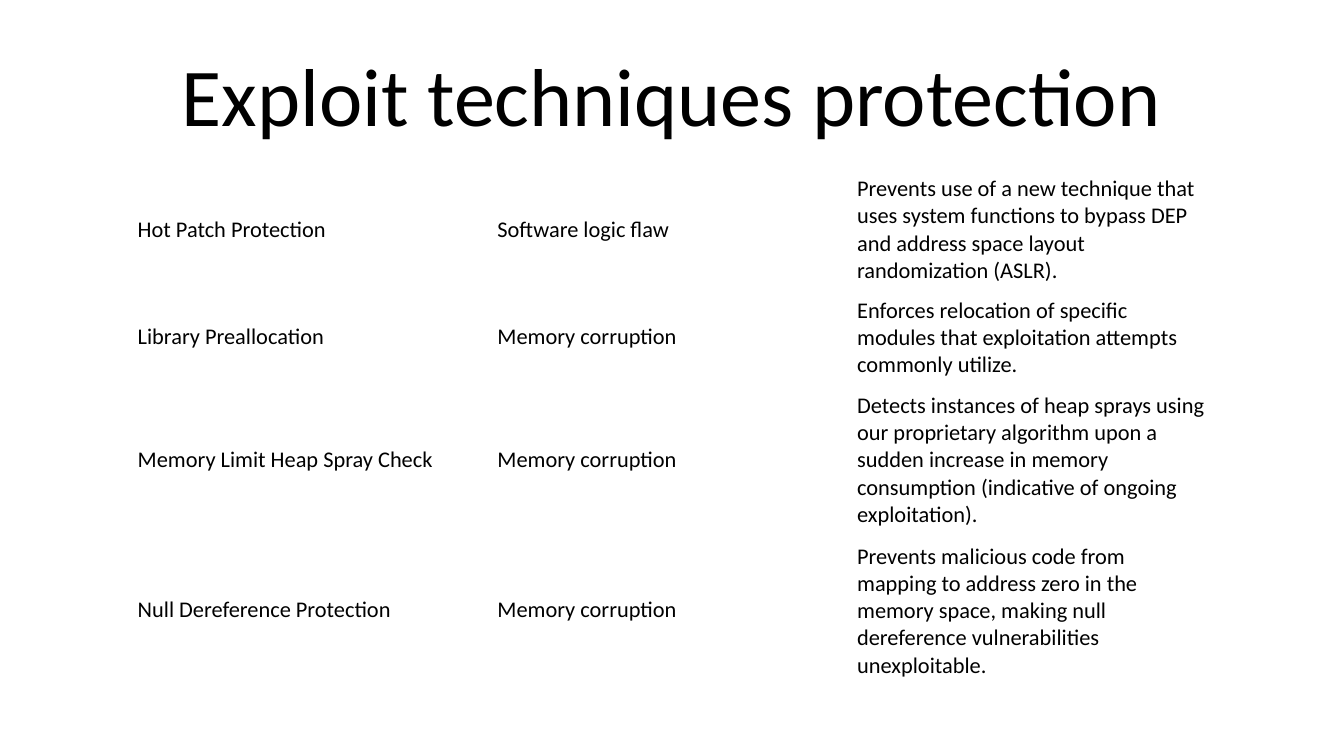
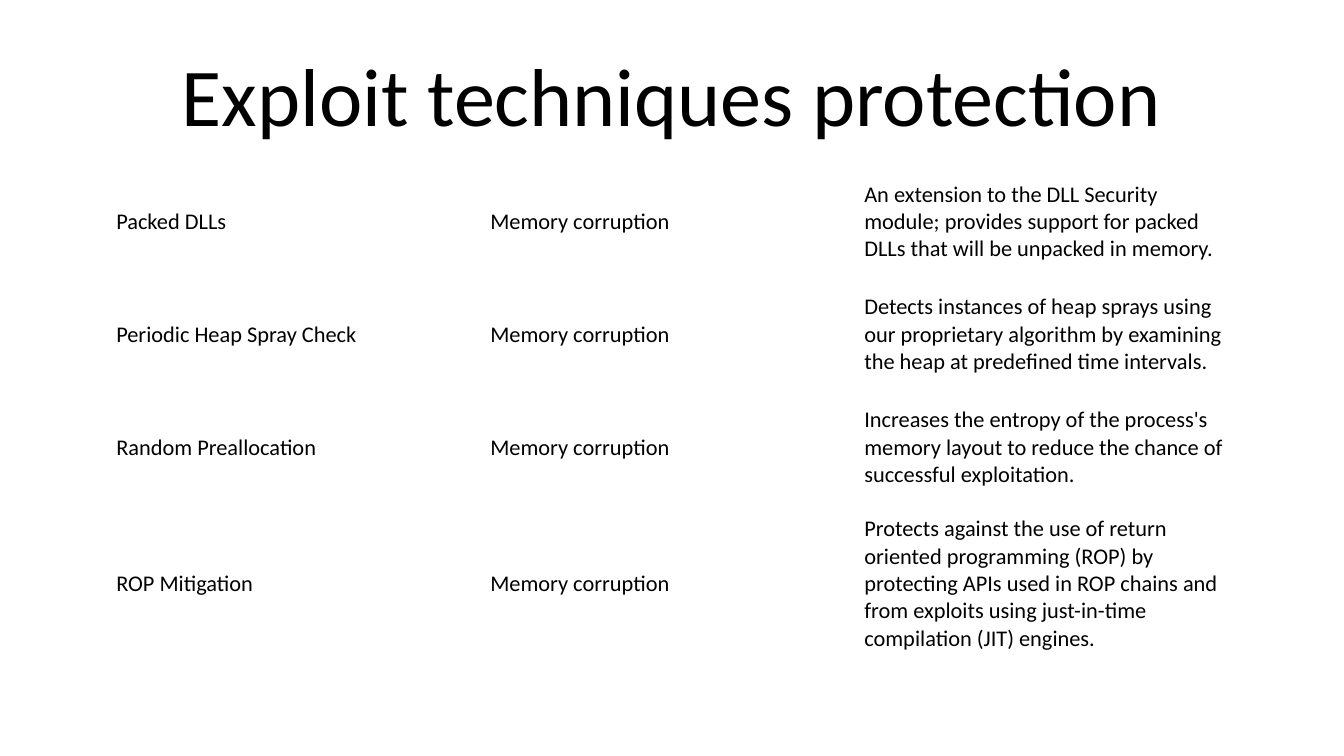
from pptx import Presentation
from pptx.dml.color import RGBColor as Rgb
from pptx.enum.text import MSO_ANCHOR as Anchor, PP_ALIGN as Align
from pptx.util import Inches, Pt

COLORS = {"paper": "FFFFFF", "ink": "000000"}
FONT = "Calibri"
WIDE = 10
HIGH = WIDE * 9 / 16
TITLE = "Exploit techniques protection"
TITLE_BOX = (0.5, 0.23, 9, 0.94)
GRID_TOP = 1.23

# Format values
HEAD = {"size": Pt(44), "name": FONT}
BODY = {"size": Pt(12), "name": FONT}
CELL = {
    "vertical_anchor": Anchor.MIDDLE,
    "margin_left": Inches(0.04), "margin_right": Inches(0.04),
    "margin_top": Inches(0.02), "margin_bottom": Inches(0.02),
}
PLAIN = {"first_row": False, "horz_banding": False}

# Each page: width of the table, row heights, rows of text
PAGES = [
    (8.03, (0.96, 0.61, 1.19, 0.96), [
        ("Hot Patch Protection", "Software logic flaw",
         "Prevents use of a new technique that uses system functions to "
         "bypass DEP and address space layout randomization (ASLR)."),
        ("Library Preallocation", "Memory corruption",
         "Enforces relocation of specific modules that exploitation "
         "attempts commonly utilize."),
        ("Memory Limit Heap Spray Check", "Memory corruption",
         "Detects instances of heap sprays using our proprietary algorithm "
         "upon a sudden increase in memory consumption (indicative of "
         "ongoing exploitation)."),
        ("Null Dereference Protection", "Memory corruption",
         "Prevents malicious code from mapping to address zero in the "
         "memory space, making null dereference vulnerabilities "
         "unexploitable."),
    ]),
    (8.35, (0.84, 0.84, 0.84, 1.19), [
        ("Packed DLLs", "Memory corruption",
         "An extension to the DLL Security module; provides support for "
         "packed DLLs that will be unpacked in memory."),
        ("Periodic Heap Spray Check", "Memory corruption",
         "Detects instances of heap sprays using our proprietary algorithm "
         "by examining the heap at predefined time intervals."),
        ("Random Preallocation", "Memory corruption",
         "Increases the entropy of the process's memory layout to reduce "
         "the chance of successful exploitation."),
        ("ROP Mitigation", "Memory corruption",
         "Protects against the use of return oriented programming (ROP) by "
         "protecting APIs used in ROP chains and from exploits using "
         "just-in-time compilation (JIT) engines."),
    ]),
]


def style(item, values):
    for key, value in values.items():
        setattr(item, key, value)


def write(frame, text, look, align=Align.LEFT):
    para = frame.paragraphs[0]
    para.alignment = align
    run = para.add_run()
    run.text = text
    style(run.font, look)
    run.font.color.rgb = Rgb.from_string(COLORS["ink"])


def add_title(slide, box, text):
    frame = slide.shapes.add_textbox(*map(Inches, box)).text_frame
    style(frame, {"word_wrap": True, "vertical_anchor": Anchor.MIDDLE})
    write(frame, text, HEAD, Align.CENTER)


def add_grid(slide, box, heights, rows):
    # Columns share the width equally
    size = map(Inches, box)
    table = slide.shapes.add_table(len(rows), len(rows[0]), *size).table
    style(table, PLAIN)
    for row, height, texts in zip(table.rows, heights, rows):
        row.height = Inches(height)
        for cell, text in zip(row.cells, texts):
            cell.fill.background()
            style(cell, CELL)
            write(cell.text_frame, text, BODY)


def add_page(deck, width, heights, rows):
    slide = deck.slides.add_slide(deck.slide_layouts[6])
    fill = slide.background.fill
    fill.solid()
    fill.fore_color.rgb = Rgb.from_string(COLORS["paper"])
    add_title(slide, TITLE_BOX, TITLE)
    # The table is centred on the slide
    box = ((WIDE - width) / 2, GRID_TOP, width, sum(heights))
    add_grid(slide, box, heights, rows)


def main():
    deck = Presentation()
    deck.slide_width = Inches(WIDE)
    deck.slide_height = Inches(HIGH)
    for page in PAGES:
        add_page(deck, *page)
    deck.save("out.pptx")


if __name__ == "__main__":
    main()
